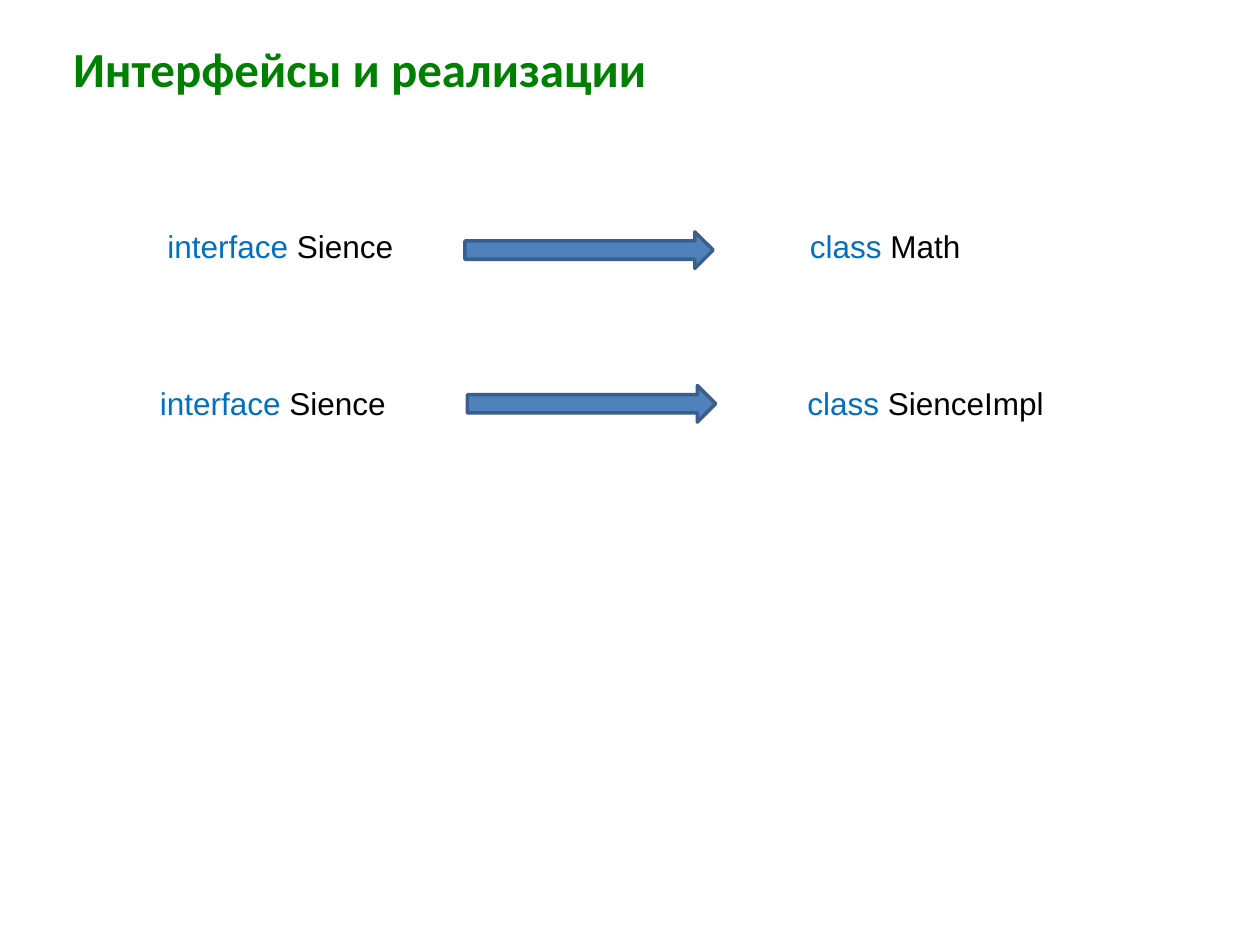
import pptx
import pptx.util
import pptx.dml.color
import pptx.enum.shapes
import pptx.enum.text

Pt = pptx.util.Pt


def rgb(value):
    """Turn a hex string into a colour."""
    return pptx.dml.color.RGBColor.from_string(value)


class Deck:
    """Hold the style and the current slide, and draw each kind of element."""

    title_font, body_font = "Calibri", "Arial"
    title_size, body_size = 28, 18
    title_color, keyword_color, name_color = "008000", "0070C0", "000000"
    arrow_fill, arrow_line = "4F81BD", "3A5F8C"

    def __init__(self, width, height):
        """Start a presentation with one title-only slide."""
        self.prs = pptx.Presentation()
        self.prs.slide_width, self.prs.slide_height = Pt(width), Pt(height)
        self.s = self.prs.slides.add_slide(self.prs.slide_layouts[5])

    def format_run(self, r, font, size, color, bold=False):
        """Set the font of a run."""
        r.font.name, r.font.size, r.font.bold = font, Pt(size), bold
        r.font.color.rgb = rgb(color)

    def title(self, text, x, y, w, h):
        """Place and format the title."""
        sp = self.s.shapes.title
        sp.left, sp.top, sp.width, sp.height = Pt(x), Pt(y), Pt(w), Pt(h)
        tf = sp.text_frame
        tf.text = text
        tf.margin_left = tf.margin_right = tf.margin_top = tf.margin_bottom = 0
        tf.vertical_anchor = pptx.enum.text.MSO_ANCHOR.MIDDLE
        tf.auto_size = pptx.enum.text.MSO_AUTO_SIZE.NONE
        p = tf.paragraphs[0]
        p.alignment = pptx.enum.text.PP_ALIGN.LEFT
        p.line_spacing = 0.9
        self.format_run(p.runs[0], self.title_font, self.title_size, self.title_color, True)

    def declaration(self, keyword, name, x, y, w, h=28.8):
        """Write a coloured keyword followed by a type name."""
        tf = self.s.shapes.add_textbox(Pt(x), Pt(y), Pt(w), Pt(h)).text_frame
        tf.word_wrap = False
        tf.auto_size = pptx.enum.text.MSO_AUTO_SIZE.SHAPE_TO_FIT_TEXT
        p = tf.paragraphs[0]
        for text, color in ((keyword + " ", self.keyword_color), (name, self.name_color)):
            r = p.add_run()
            r.text = text
            self.format_run(r, self.body_font, self.body_size, color)

    def arrow(self, x, y, w=141.84, h=20.88):
        """Draw a block arrow pointing right."""
        kind = pptx.enum.shapes.MSO_SHAPE.RIGHT_ARROW
        sp = self.s.shapes.add_shape(kind, Pt(x), Pt(y), Pt(w), Pt(h))
        sp.shadow.inherit = False
        sp.fill.solid()
        sp.fill.fore_color.rgb = rgb(self.arrow_fill)
        sp.line.color.rgb = rgb(self.arrow_line)
        sp.line.width = Pt(2)


def main():
    """Build the slide and save it."""
    deck = Deck(720, 540)
    deck.title("Интерфейсы и реализации", 41.76, 27.36, 465.84, 27.36)
    rows = [
        (126, 88.56, 265.68, 132.48, "Math", 455.76, 106.56),
        (216, 84.24, 267.12, 220.32, "SienceImpl", 454.32, 156.24),
    ]
    for y, left, arrow_x, arrow_y, name, right, width in rows:
        deck.declaration("interface", "Sience", left, y, 154.8)
        deck.arrow(arrow_x, arrow_y)
        deck.declaration("class", name, right, y, width)
    deck.prs.save("out.pptx")


if __name__ == "__main__":
    main()
